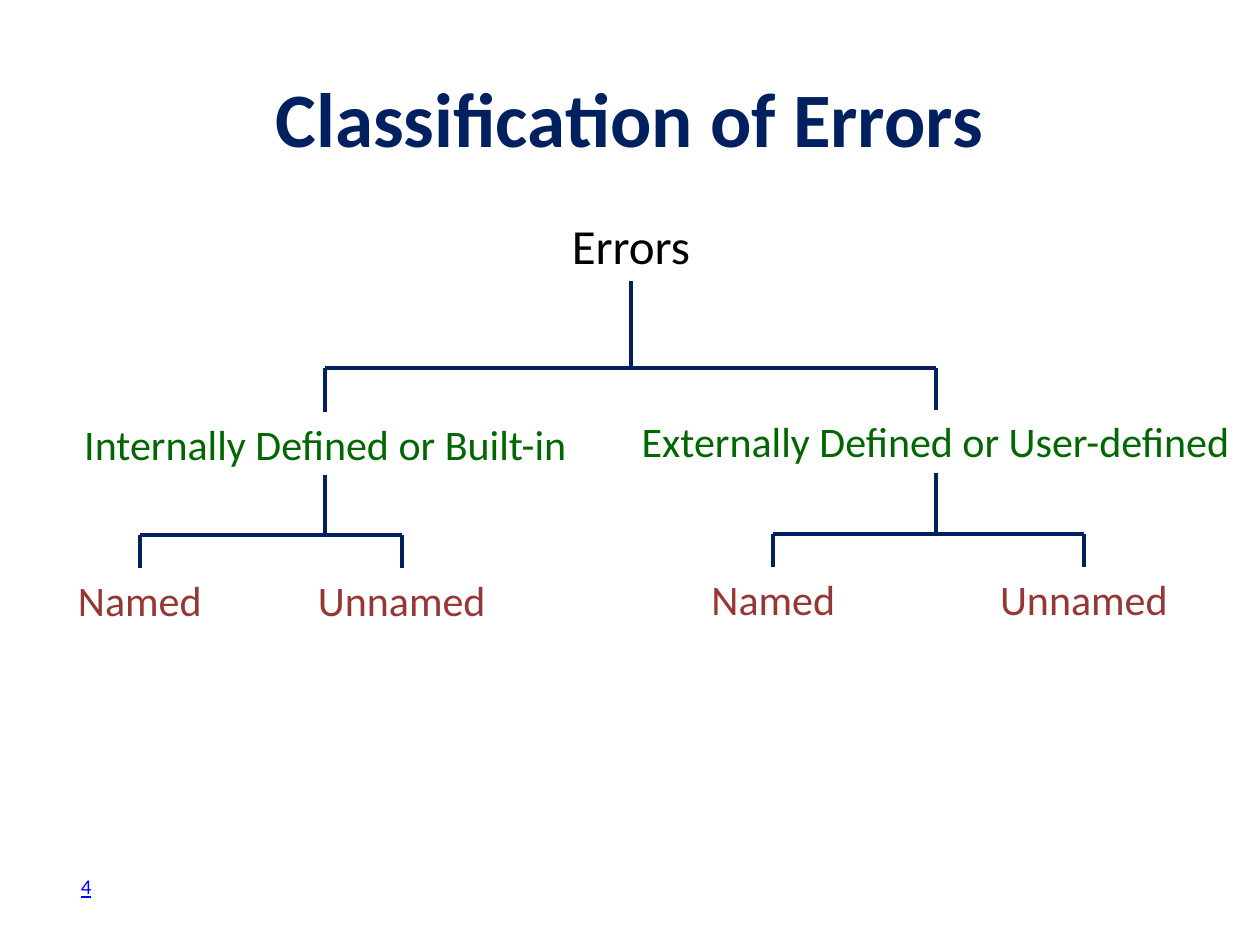
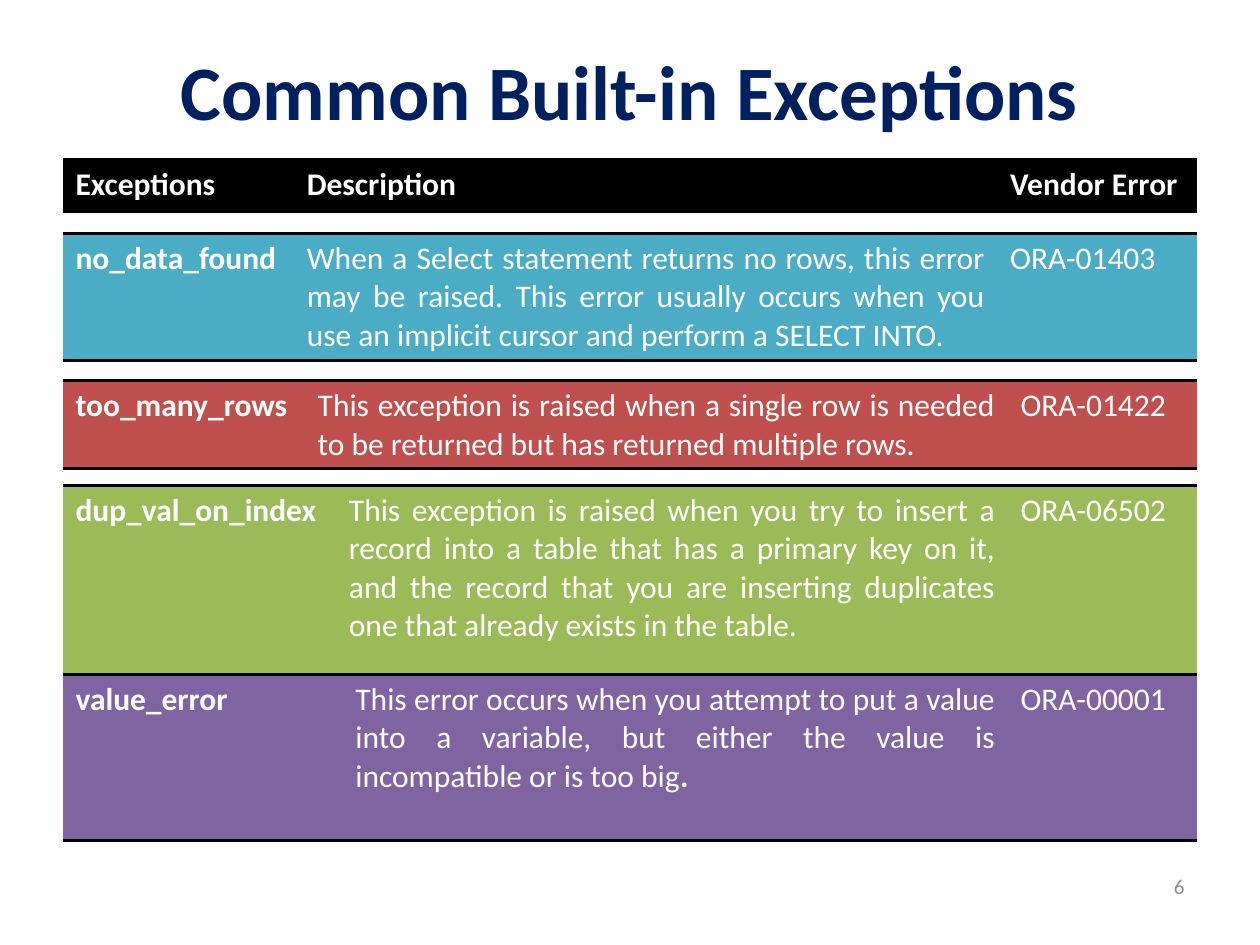
from lxml import etree
from pptx import Presentation
from pptx import util as u
from pptx.dml.color import RGBColor
from pptx.enum import shapes, text
from pptx.oxml import ns

COLORS = {
    "navy": "002060", "link": "0000FF", "grey": "8C8C8C",
    "black": "000000", "white": "FFFFFF",
    "group": "006600", "leaf": "953735",
    "aqua": "4BACC6", "red": "C0504D", "olive": "9BBB59", "purple": "8064A2",
}
FONT = "Calibri"
ALIGN = text.PP_ALIGN
TOP, BOTTOM = 0, 2  # connection sites
MARGIN, CONTENT_WIDTH = 1.27, 22.86
FOOTER_TOP, FOOTER_WIDTH, FOOTER_HEIGHT = 17.35, 5.92, 1.02


def color(name):
    return RGBColor.from_string(COLORS[name])


def write(frame, *runs, size=18, ink="black", bold=False, underline=False,
          align=ALIGN.LEFT):
    """Fill a text frame; a run is a string or a (string, bold) pair."""
    paragraph = frame.paragraphs[0]
    paragraph.alignment = align
    for item in runs:
        words, heavy = (item, bold) if isinstance(item, str) else item
        run = paragraph.add_run()
        run.text = words
        font = run.font
        font.name, font.size, font.bold = FONT, u.Pt(size), heavy
        font.color.rgb = color(ink)
        if underline:
            font.underline = True


def add_text(slide, words, left, top, width, height, wrap=True,
             anchor=text.MSO_ANCHOR.MIDDLE, **style):
    box = slide.shapes.add_textbox(u.Cm(left), u.Cm(top), u.Cm(width), u.Cm(height))
    box.text_frame.word_wrap = wrap
    box.text_frame.vertical_anchor = anchor
    write(box.text_frame, words, **style)
    return box


def add_title(slide, words, top, height):
    add_text(slide, words, MARGIN, top, CONTENT_WIDTH, height,
             size=44, ink="navy", bold=True, align=ALIGN.CENTER)


def add_page_number(slide, number, left, **style):
    add_text(slide, number, left, FOOTER_TOP, FOOTER_WIDTH, FOOTER_HEIGHT,
             size=12, **style)


# --- Error tree ---

def add_node(slide, words, center, top, width, height=1.27, size=24, ink="leaf"):
    return add_text(slide, words, center - width / 2, top, width, height,
                    wrap=False, anchor=text.MSO_ANCHOR.TOP,
                    size=size, ink=ink, align=ALIGN.CENTER)


def add_line(slide, x1, y1, x2, y2):
    line = slide.shapes.add_connector(shapes.MSO_CONNECTOR.STRAIGHT, x1, y1, x2, y2)
    line.line.color.rgb = color("navy")
    line.line.width = u.Pt(2.25)
    etree.SubElement(line._element.spPr, ns.qn("a:effectLst"))
    return line


def middle(node):
    return node.left + node.width // 2


def add_branch(slide, parent, children, bar_top):
    """Join a parent to its children through a horizontal bar."""
    bar = u.Cm(bar_top)
    add_line(slide, middle(children[0]), bar, middle(children[-1]), bar)
    trunk = add_line(slide, middle(parent), parent.top + parent.height,
                     middle(parent), bar)
    trunk.begin_connect(parent, BOTTOM)
    for child in children:
        drop = add_line(slide, middle(child), bar, middle(child), child.top)
        drop.end_connect(child, TOP)


def build_error_tree(slide):
    add_title(slide, "Classification of Errors", 0.76, 3.18)
    add_page_number(slide, "4", 1.38, ink="link", underline=True)

    errors = add_node(slide, "Errors", 12.72, 4.22, 2.92, 1.45, size=28, ink="black")
    internal = add_node(slide, "Internally Defined or Built-in",
                        6.56, 8.31, 10.36, ink="group")
    external = add_node(slide, "Externally Defined or User-defined",
                        18.86, 8.26, 12.52, ink="group")
    add_branch(slide, errors, [internal, external], 7.41)

    for group, named_center, unnamed_center, leaf_top, bar_top in (
            (internal, 2.82, 8.1, 11.46, 10.79),
            (external, 15.59, 21.85, 11.43, 10.77)):
        leaves = [add_node(slide, "Named", named_center, leaf_top, 3.02),
                  add_node(slide, "Unnamed", unnamed_center, leaf_top, 3.94)]
        add_branch(slide, group, leaves, bar_top)


# --- Exception tables ---

def set_borders(cell):
    """Black rules above and below, none at the sides."""
    props = cell._tc.get_or_add_tcPr()
    for position, side in enumerate(("lnL", "lnR", "lnT", "lnB")):
        border = etree.Element(ns.qn(f"a:{side}"), w=str(u.Pt(2)))
        if side in ("lnT", "lnB"):
            fill = etree.SubElement(border, ns.qn("a:solidFill"))
            etree.SubElement(fill, ns.qn("a:srgbClr"), val=COLORS["black"])
        else:
            etree.SubElement(border, ns.qn("a:noFill"))
        props.insert(position, border)


def add_band(slide, top, height, name_width, text_width, fill, entries,
             header=False, align=ALIGN.LEFT):
    """One-row table: exception name, description, error code."""
    band = slide.shapes.add_table(1, 3, u.Cm(MARGIN), u.Cm(top),
                                  u.Cm(CONTENT_WIDTH), u.Cm(height)).table
    band.first_row = band.horz_banding = False
    widths = (name_width, text_width, CONTENT_WIDTH - name_width - text_width)
    aligns = (align, ALIGN.LEFT if header else ALIGN.JUSTIFY, align)
    for i, runs in enumerate(entries):
        band.columns[i].width = u.Cm(widths[i])
        cell = band.cell(0, i)
        cell.fill.solid()
        cell.fill.fore_color.rgb = color(fill)
        set_borders(cell)
        runs = [runs] if isinstance(runs, str) else runs
        write(cell.text_frame, *runs, ink="white", bold=header or i == 0,
              align=aligns[i])


def build_exceptions(slide):
    add_title(slide, "Common Built-in Exceptions", 0.64, 2.34)
    add_page_number(slide, "6", MARGIN + CONTENT_WIDTH - FOOTER_WIDTH,
                    ink="grey", align=ALIGN.RIGHT)

    add_band(slide, 3.21, 1.05, 4.66, 14.18, "black",
             ("Exceptions", "Description", "Vendor Error"), header=True)
    add_band(slide, 4.7, 2.56, 4.66, 14.18, "aqua", (
        "no_data_found",
        "When a Select statement returns no rows, this error may be raised. "
        "This error usually occurs when you use an implicit cursor and "
        "perform a SELECT INTO.",
        "ORA-01403"), align=ALIGN.JUSTIFY)
    add_band(slide, 7.67, 1.78, 4.88, 14.17, "red", (
        "too_many_rows",
        "This exception is raised when a single row is needed to be returned "
        "but has returned multiple rows.",
        "ORA-01422"))
    add_band(slide, 9.78, 4.14, 5.51, 13.54, "olive", (
        "dup_val_on_index",
        "This exception is raised when you try to insert a record into a table "
        "that has a primary key on it, and the record that you are inserting "
        "duplicates one that already exists in the table.",
        "ORA-06502"))
    add_band(slide, 13.59, 3.35, 5.64, 13.41, "purple", (
        "value_error",
        ["This error occurs when you attempt to put a value into a variable, "
         "but either the value is incompatible or is too big", (".", True)],
        "ORA-00001"))


def main():
    deck = Presentation()
    deck.slide_width, deck.slide_height = u.Cm(25.4), u.Cm(19.05)
    blank = deck.slide_layouts[6]
    for build in (build_error_tree, build_exceptions):
        build(deck.slides.add_slide(blank))
    deck.save("out.pptx")


if __name__ == "__main__":
    main()
